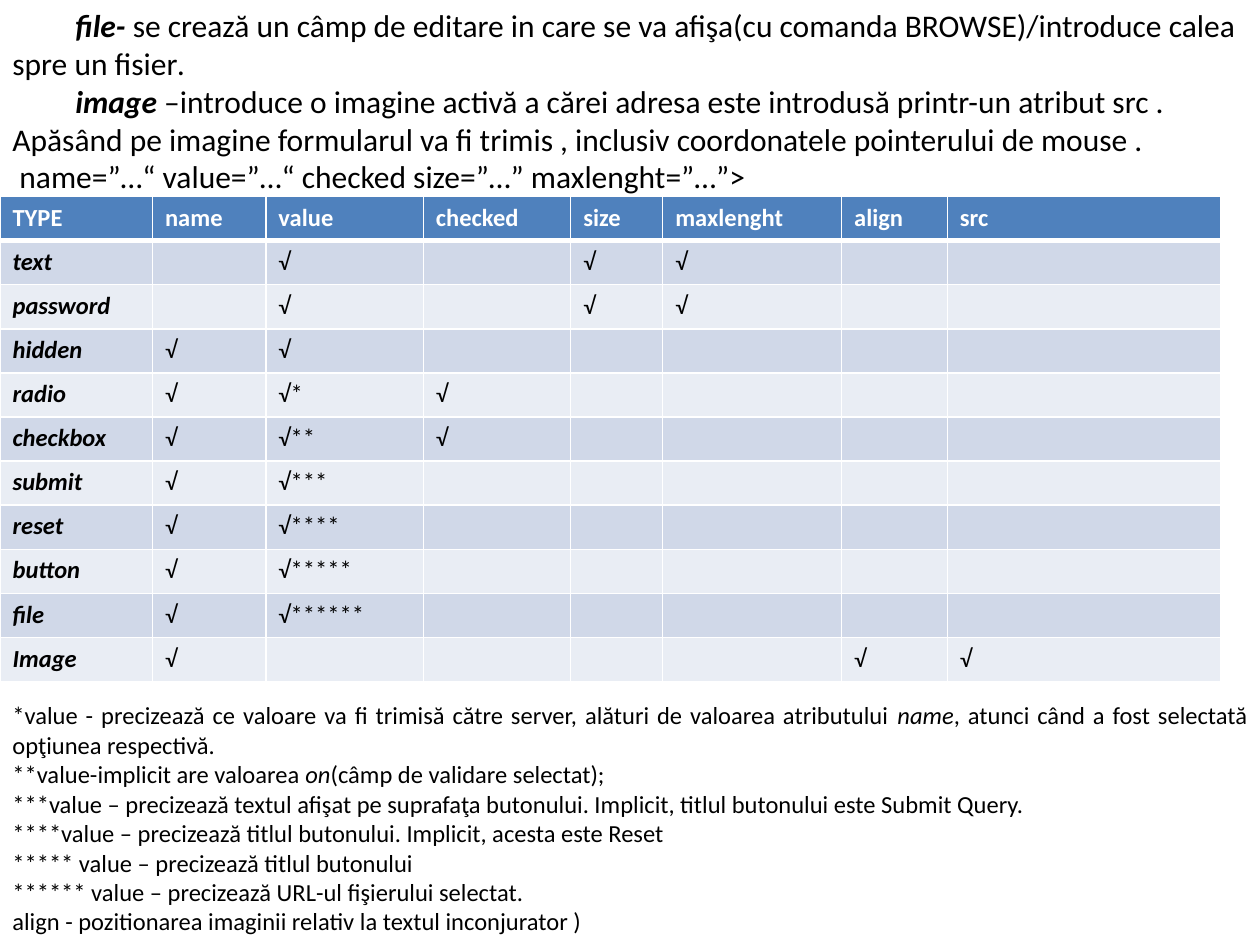
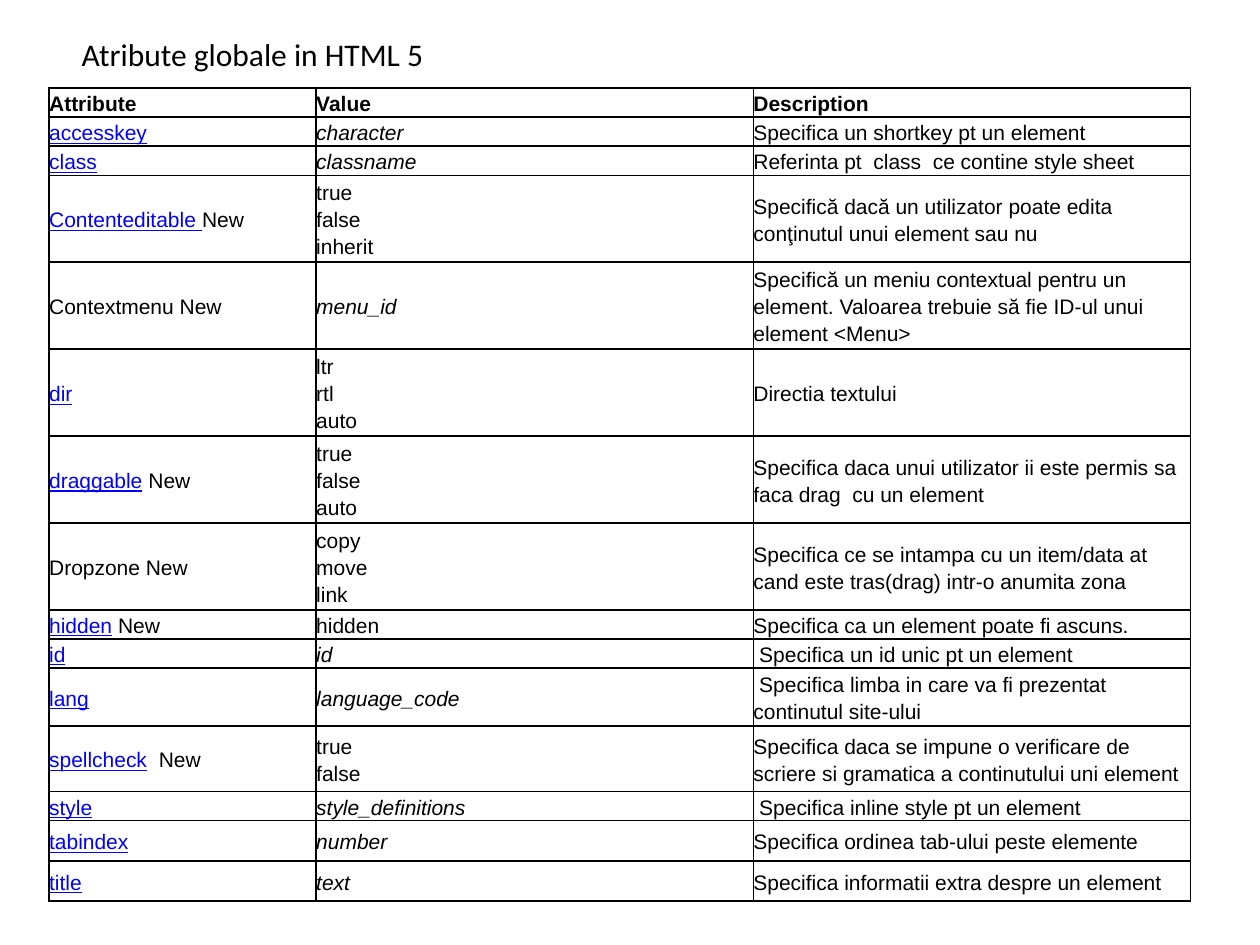
from dataclasses import dataclass

from lxml import etree
from pptx import Presentation, util as u
from pptx.dml.color import RGBColor
from pptx.enum import text as t
from pptx.oxml.ns import qn


@dataclass(frozen=True)
class Theme:
    body: str = "Calibri"
    grid: str = "Arial"
    ink: str = "000000"
    paper: str = "FFFFFF"
    link: str = "0000FF"
    head: str = "4F81BD"
    bands: tuple = ("D0D8E8", "E9EDF4")
    big: int = 18
    mid: int = 14
    small: int = 12


class Deck:
    def __init__(self, theme):
        self.theme = theme
        self.prs = Presentation()
        self.prs.slide_width = u.Inches(10)
        self.prs.slide_height = u.Inches(7.5)
        self.slide = None

    def page(self):
        self.slide = self.prs.slides.add_slide(self.prs.slide_layouts[6])

    def runs(self, para, parts, size, font, color=None):
        """Fill a paragraph; a part is text or (text, marks), with marks from b, i, u (link)."""
        parts = [parts] if isinstance(parts, (str, tuple)) else parts
        for part in parts:
            words, marks = (part, "") if isinstance(part, str) else part
            for n, line in enumerate(words.split("\n")):
                if n:
                    para.add_line_break()
                run = para.add_run()
                run.text = line
                face = run.font
                face.size, face.name = u.Pt(size), font
                face.bold, face.italic = "b" in marks, "i" in marks
                face.underline = "u" in marks
                tint = self.theme.link if "u" in marks else color or self.theme.ink
                face.color.rgb = RGBColor.from_string(tint)

    def text(self, box, paras, size, align=t.PP_ALIGN.LEFT, wrap=True):
        shape = self.slide.shapes.add_textbox(*map(u.Inches, box))
        frame = shape.text_frame
        frame.word_wrap = wrap
        frame.auto_size = t.MSO_AUTO_SIZE.SHAPE_TO_FIT_TEXT
        for n, parts in enumerate(paras):
            para = frame.add_paragraph() if n else frame.paragraphs[0]
            para.alignment = align
            self.runs(para, parts, size, self.theme.body)

    def table(self, left, top, cols, rows):
        """Add a plain table with the given column widths and row heights."""
        frame = self.slide.shapes.add_table(
            len(rows), len(cols), *map(u.Inches, (left, top, sum(cols), sum(rows))))
        grid = frame.table
        grid.first_row = grid.horz_banding = False
        for col, width in zip(grid.columns, cols):
            col.width = u.Inches(width)
        for row, height in zip(grid.rows, rows):
            row.height = u.Inches(height)
        return grid

    def border(self, cell, color, **widths):
        """Draw the four sides, 1 pt wide unless widths names a side (L, R, T, B)."""
        props = cell._tc.get_or_add_tcPr()
        for side in "LRTB":
            line = etree.SubElement(props, qn(f"a:ln{side}"),
                                    w=str(u.Pt(widths.get(side, 1))))
            fill = etree.SubElement(line, qn("a:solidFill"))
            etree.SubElement(fill, qn("a:srgbClr"), val=color)

    def marks(self, left, top, cols, height, data):
        """Add a banded table with a coloured head and bold italic row names."""
        look = self.theme
        grid = self.table(left, top, cols, [height] * len(data))
        for r, row in enumerate(data):
            for c, words in enumerate(row):
                cell = grid.cell(r, c)
                edge = {0: {"B": 3}, 1: {"T": 3}}.get(r, {})
                self.border(cell, look.paper, **edge)
                cell.fill.solid()
                cell.fill.fore_color.rgb = RGBColor.from_string(
                    look.bands[(r - 1) % 2] if r else look.head)
                para = cell.text_frame.paragraphs[0]
                if words:
                    style = "b" if r == 0 else "bi" if c == 0 else ""
                    self.runs(para, (words, style), look.mid, look.body,
                              None if r else look.paper)
                else:
                    etree.SubElement(para._p, qn("a:endParaRPr"), sz=str(look.mid * 100))

    def lines(self, left, top, cols, data):
        """Add an unfilled, ruled table; each row is its height and its cells."""
        look = self.theme
        grid = self.table(left, top, cols, [row[0] for row in data])
        for r, (_, *row) in enumerate(data):
            for c, parts in enumerate(row):
                cell = grid.cell(r, c)
                self.border(cell, look.ink)
                cell.fill.background()
                cell.vertical_anchor = t.MSO_ANCHOR.MIDDLE
                cell.margin_left = cell.margin_right = 0
                cell.margin_top = cell.margin_bottom = 0
                para = cell.text_frame.paragraphs[0]
                para.line_spacing, para.space_after = 1.15, u.Pt(10)
                self.runs(para, parts, look.small, look.grid)


INTRO = [
    ["\t", ("file- ", "bi"),
     "se crează un câmp de editare in care se va afişa(cu comanda BROWSE)/introduce "
     "calea spre un fisier", (".", "i")],
    [("\timage", "bi"),
     " –introduce o imagine activă a cărei adresa este introdusă printr-un atribut src . "
     "Apăsând pe imagine formularul va fi trimis , inclusiv coordonatele pointerului "
     "de mouse ."],
    " name=”…“ value=”…“ checked size=”…” maxlenght=”…”>",
]

INPUTS = [row.split("|") for row in (
    "TYPE|name|value|checked|size|maxlenght|align|src",
    "text||√||√|√||",
    "password||√||√|√||",
    "hidden|√|√|||||",
    "radio|√|√*|√||||",
    "checkbox|√|√**|√||||",
    "submit|√|√***|||||",
    "reset|√|√****|||||",
    "button|√|√*****|||||",
    "file|√|√******|||||",
    "Image|√|||||√|√",
)]

NOTES = [
    ["*value - precizează ce valoare va fi trimisă către server, alături de valoarea "
     "atributului ", ("name", "i"), ", atunci când a fost selectată opţiunea respectivă. "],
    ["**value-implicit are valoarea ", ("on", "i"), "(câmp de validare selectat);"],
    "***value – precizează textul afişat pe suprafaţa butonului. "
    "Implicit, titlul butonului este Submit Query. ",
    "****value – precizează titlul butonului. Implicit, acesta este Reset",
    "***** value – precizează titlul butonului",
    "****** value – precizează URL-ul fişierului selectat.",
    "align - pozitionarea imaginii relativ la textul inconjurator )",
]

LOW, TALL = 0.21, 0.67
GLOBALS = [
    (LOW, ("Attribute", "b"), ("Value", "b"), ("Description", "b")),
    (LOW, ("accesskey", "u"), ("character", "i"), "Specifica un shortkey pt un element"),
    (LOW, ("class", "u"), ("classname", "i"),
     "Referinta pt  class  ce contine style sheet"),
    (TALL, [("Contenteditable ", "u"), "New"], "true\nfalse\ninherit",
     "Specifică dacă un utilizator poate edita conţinutul unui element sau nu"),
    (TALL, "Contextmenu New", ("menu_id", "i"),
     "Specifică un meniu contextual pentru un element. "
     "Valoarea trebuie să fie ID-ul unui element <Menu>"),
    (TALL, ("dir", "u"), "ltr\nrtl\nauto", "Directia textului"),
    (TALL, [("draggable", "u"), " New"], "true\nfalse\nauto",
     "Specifica daca unui utilizator ii este permis sa faca drag  cu un element"),
    (TALL, "Dropzone New", "copy\nmove\nlink",
     "Specifica ce se intampa cu un item/data at cand este tras(drag) intr-o anumita zona"),
    (LOW, [("hidden", "u"), " New"], "hidden", "Specifica ca un element poate fi ascuns."),
    (LOW, ("id", "u"), ("id", "i"), " Specifica un id unic pt un element"),
    (0.44, ("lang", "u"), ("language_code", "i"),
     " Specifica limba in care va fi prezentat continutul site-ului"),
    (0.52, [("spellcheck", "u"), "  New"], "true\nfalse",
     "Specifica daca se impune o verificare de scriere si gramatica "
     "a continutului uni element"),
    (LOW, ("style", "u"), ("style_definitions", "i"),
     " Specifica inline style pt un element"),
    (0.32, ("tabindex", "u"), ("number", "i"), "Specifica ordinea tab-ului peste elemente"),
    (0.32, ("title", "u"), ("text", "i"), "Specifica informatii extra despre un element"),
]


def main():
    look = Theme()
    deck = Deck(look)

    deck.page()
    deck.text((0, 0, 10, 1.62), INTRO, look.big)
    deck.marks(0, 1.56, (1.21, 0.9, 1.25, 1.17, 0.73, 1.42, 0.84, 2.17), 0.35, INPUTS)
    deck.text((0, 5.51, 10, 1.99), NOTES, look.mid, t.PP_ALIGN.JUSTIFY)

    deck.page()
    deck.lines(0.39, 0.7, (2.12, 3.47, 3.47), GLOBALS)
    deck.text((0.55, 0.23, 2.95, 0.4), ["Atribute globale in HTML 5"], look.big, wrap=False)

    deck.prs.save("out.pptx")


if __name__ == "__main__":
    main()
